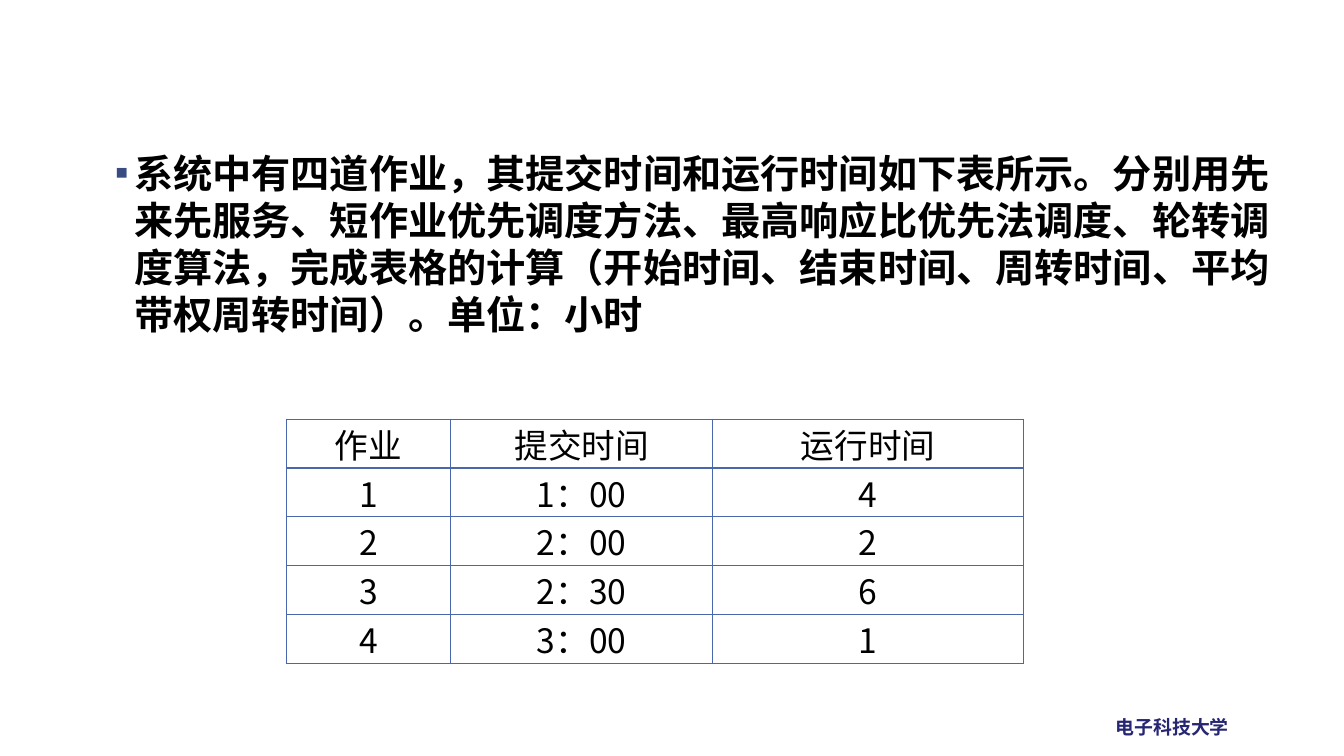
from pptx import Presentation
from pptx.dml.color import RGBColor
from pptx.enum.text import MSO_ANCHOR, MSO_AUTO_SIZE, PP_ALIGN
from pptx.oxml import parse_xml
from pptx.oxml.ns import nsdecls
from pptx.util import Inches, Pt

CENTER, LEFT = PP_ALIGN.CENTER, PP_ALIGN.LEFT
TOP = MSO_ANCHOR.TOP
NO_AUTOFIT = MSO_AUTO_SIZE.NONE

# Content
QUESTION = (
    "系统中有四道作业，其提交时间和运行时间如下表所示。"
    "分别用先来先服务、短作业优先调度方法、最高响应比优先法调度、轮转调度算法，"
    "完成表格的计算（开始时间、结束时间、周转时间、平均带权周转时间）。单位：小时"
)
JOBS = [
    ("作业", "提交时间", "运行时间"),
    ("1", "1：00", "4"),
    ("2", "2：00", "2"),
    ("3", "2：30", "6"),
    ("4", "3：00", "1"),
]
UNIVERSITY = "电子科技大学"

# Layout in inches
QUESTION_BOX = (1.04, 1.43, 11.78, 5.64)
FOOTER_BOX = (10.97, 7.05, 1.34, 0.33)
TABLE_LEFT, TABLE_TOP, TABLE_HEIGHT = 2.84, 4.16, 2.42
COLUMN_WIDTHS = (1.63, 2.6, 3.08)
INDENT = 0.19


class Theme:
    latin, chinese = "Times New Roman", "Noto Sans CJK SC"
    text, footer = "000000", "262673"
    bullet, border = "384C81", "4A66AC"
    question_size, table_size, footer_size = 28, 24, 13.5
    question_leading = 33.6
    border_width = 1


def add_run(paragraph, text, size, color, latin=Theme.chinese, bold=False):
    run = paragraph.add_run()
    run.text = text
    run.font.size = Pt(size)
    run.font.bold = bold
    run.font.color.rgb = RGBColor.from_string(color)
    run.font.name = latin
    east_asian = parse_xml(f'<a:ea {nsdecls("a")} typeface="{Theme.chinese}"/>')
    run.font.fill._xPr.find(".//{*}latin").addnext(east_asian)


def add_bullet(paragraph):
    properties = paragraph._p.get_or_add_pPr()
    properties.set("marL", str(Inches(INDENT)))
    properties.set("indent", str(-Inches(INDENT)))
    for element in (
        f'<a:buClr {nsdecls("a")}><a:srgbClr val="{Theme.bullet}"/></a:buClr>',
        f'<a:buFont {nsdecls("a")} typeface="{Theme.latin}"/>',
        f'<a:buChar {nsdecls("a")} char="▪"/>',
    ):
        properties.append(parse_xml(element))


def add_borders(cell):
    properties = cell._tc.get_or_add_tcPr()
    for position, side in enumerate(("lnL", "lnR", "lnT", "lnB")):
        properties.insert(position, parse_xml(
            f'<a:{side} {nsdecls("a")} w="{Pt(Theme.border_width)}"><a:solidFill>'
            f'<a:srgbClr val="{Theme.border}"/></a:solidFill></a:{side}>'))


def add_question(slide):
    body = slide.placeholders[1]
    body.left, body.top, body.width, body.height = map(Inches, QUESTION_BOX)
    frame = body.text_frame
    frame.auto_size = NO_AUTOFIT
    frame.word_wrap = True
    frame.vertical_anchor = TOP
    paragraph = frame.paragraphs[0]
    add_bullet(paragraph)
    paragraph.alignment = LEFT
    paragraph.space_before = Pt(0)
    paragraph.line_spacing = Pt(Theme.question_leading)
    add_run(paragraph, QUESTION, Theme.question_size, Theme.text, Theme.latin, True)


def add_job_table(slide):
    table = slide.shapes.add_table(
        len(JOBS), len(COLUMN_WIDTHS), Inches(TABLE_LEFT), Inches(TABLE_TOP),
        Inches(sum(COLUMN_WIDTHS)), Inches(TABLE_HEIGHT)).table
    table.first_row = table.horz_banding = False
    for column, width in zip(table.columns, COLUMN_WIDTHS):
        column.width = Inches(width)
    for row, values in zip(table.rows, JOBS):
        row.height = Inches(TABLE_HEIGHT / len(JOBS))
        for cell, value in zip(row.cells, values):
            cell.fill.background()
            add_borders(cell)
            cell.margin_left = cell.margin_right = Inches(0.07)
            cell.margin_top = cell.margin_bottom = 0
            paragraph = cell.text_frame.paragraphs[0]
            paragraph.alignment = CENTER
            add_run(paragraph, value, Theme.table_size, Theme.text)


def add_footer(slide):
    frame = slide.shapes.add_textbox(*map(Inches, FOOTER_BOX)).text_frame
    frame.word_wrap = False
    add_run(frame.paragraphs[0], UNIVERSITY, Theme.footer_size, Theme.footer, bold=True)


def main():
    presentation = Presentation()
    presentation.slide_width, presentation.slide_height = Inches(13.33), Inches(7.5)
    slide = presentation.slides.add_slide(presentation.slide_layouts[1])
    # The slide has no title
    title = slide.shapes.title.element
    title.getparent().remove(title)
    add_footer(slide)
    add_question(slide)
    add_job_table(slide)
    presentation.save("out.pptx")


if __name__ == "__main__":
    main()
